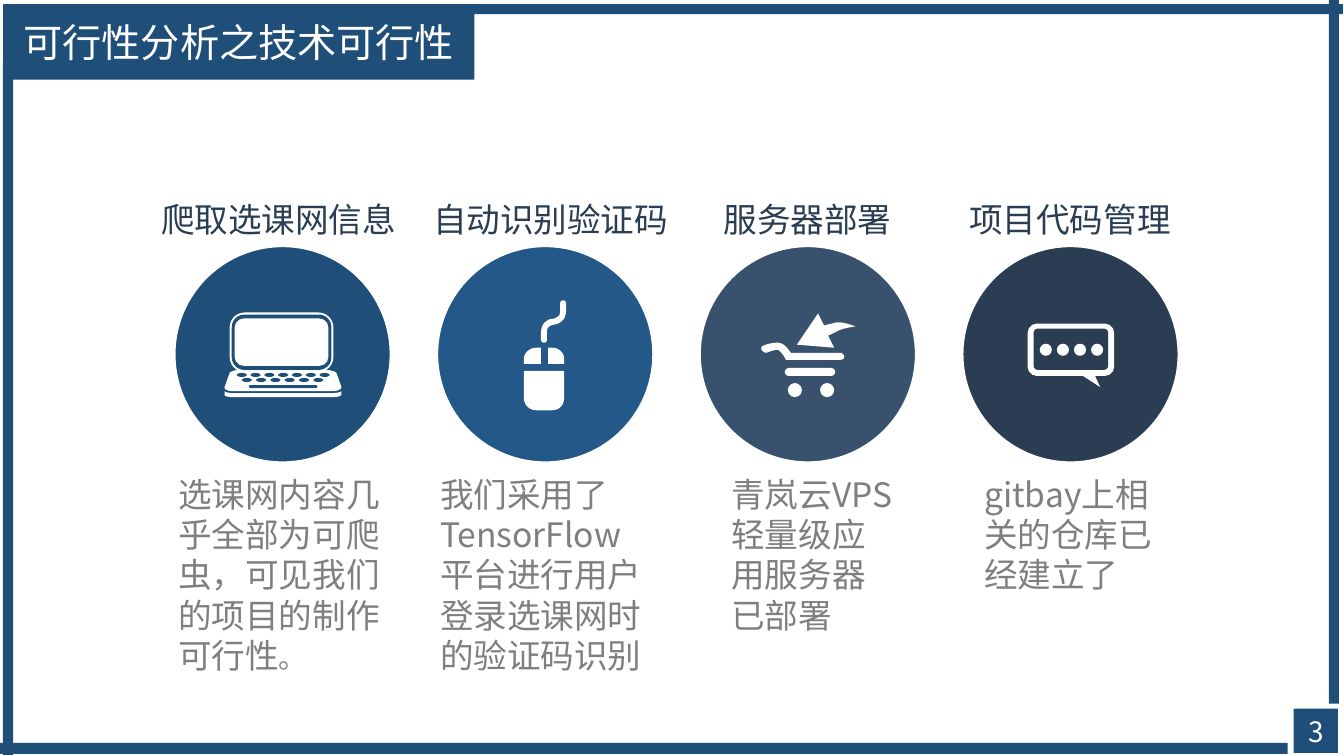
import pptx
import pptx.dml.color
import pptx.enum.shapes
import pptx.enum.text
import pptx.util

Inches = pptx.util.Inches
KIND = pptx.enum.shapes.MSO_SHAPE
ALIGN = pptx.enum.text.PP_ALIGN
THEME = {
    "font": "Noto Sans CJK SC",
    "frame": "1F4E79", "white": "FFFFFF", "label": "2A3D52", "body": "7F7F7F",
    "circles": ["1F4E79", "235889", "38526E", "2A3D52"],
    "title_pt": 28, "text_pt": 24, "small_pt": 20, "ring_pt": 3.25,
}
WHITE = THEME["white"]


def paint(sp, color, radius=None):
    sp.shadow.inherit = False
    sp.fill.solid()
    sp.fill.fore_color.rgb = pptx.dml.color.RGBColor.from_string(color)
    sp.line.fill.background()
    if radius is not None:
        sp.adjustments[0] = radius
    return sp


def write(tf, color, align, wrap, *runs):
    tf.word_wrap = wrap
    p = tf.paragraphs[0]
    p.alignment = align
    for text, size in runs:
        r = p.add_run()
        r.text = text
        for name, value in {"name": THEME["font"], "size": pptx.util.Pt(size)}.items():
            setattr(r.font, name, value)
        r.font.color.rgb = pptx.dml.color.RGBColor.from_string(color)


prs = pptx.Presentation()
prs.slide_width, prs.slide_height = Inches(13.34), Inches(7.5)
s = prs.slides.add_slide(prs.slide_layouts[6])

# Columns: label box, body box, body runs
text_pt, small_pt = THEME["text_pt"], THEME["small_pt"]
columns = [
    ("爬取选课网信息", (1.47, 2.59), (1.67, 2.27),
     [("选课网内容几乎全部为可爬虫，可见我们的项目的制作可行性", text_pt), ("。", small_pt)]),
    ("自动识别验证码", (4.17, 2.59), (4.27, 2.27),
     [("我们采用了TensorFlow平台进行用户登录选课网时的验证码识别", text_pt)]),
    ("服务器部署", (7.05, 1.93), (7.16, 1.85),
     [("青岚云VPS轻量级应用服务器已部署", text_pt)]),
    ("项目代码管理", (9.49, 2.26), (9.67, 1.97),
     [("gitbay上相关的仓库已经建立了", text_pt)]),
]

# Icon outlines: two numbers are a point, six are a cubic curve
keyboard = [(2.35, 3.67), (3.24, 3.67), (3.29, 3.67, 3.33, 3.69, 3.34, 3.7), (3.39, 3.84),
            (3.39, 3.86, 3.36, 3.88, 3.3, 3.88), (2.31, 3.88),
            (2.26, 3.88, 2.22, 3.86, 2.23, 3.84), (2.28, 3.7),
            (2.28, 3.69, 2.31, 3.68, 2.35, 3.67)]
base = [(2.23, 3.88), (2.23, 3.89, 2.27, 3.9, 2.31, 3.9), (3.3, 3.9),
        (3.35, 3.9, 3.38, 3.89, 3.39, 3.88), (3.39, 3.91),
        (3.39, 3.93, 3.36, 3.94, 3.3, 3.94), (2.31, 3.94),
        (2.26, 3.94, 2.22, 3.93, 2.23, 3.91)]
cable = [(5.56, 3.01), (5.56, 3.04, 5.56, 3.07, 5.56, 3.09), (5.56, 3.12, 5.55, 3.14, 5.52, 3.15),
         (5.5, 3.17, 5.47, 3.16, 5.45, 3.17), (5.36, 3.21, 5.37, 3.29, 5.37, 3.37),
         (5.37, 3.41, 5.43, 3.41, 5.43, 3.37), (5.43, 3.29), (5.43, 3.26, 5.44, 3.24, 5.47, 3.23),
         (5.49, 3.22, 5.52, 3.22, 5.54, 3.21), (5.63, 3.17, 5.62, 3.09, 5.62, 3.01),
         (5.62, 2.97, 5.56, 2.97, 5.56, 3.01)]
left_button = [(5.37, 3.45), (5.32, 3.45), (5.26, 3.45, 5.2, 3.5, 5.2, 3.56), (5.2, 3.61), (5.37, 3.61)]
right_button = [(5.44, 3.45), (5.48, 3.45), (5.55, 3.45, 5.6, 3.5, 5.6, 3.56), (5.6, 3.61), (5.44, 3.61)]
mouse_body = [(5.2, 3.68), (5.2, 3.95), (5.2, 4.02, 5.26, 4.07, 5.32, 4.07), (5.48, 4.07),
              (5.55, 4.07, 5.6, 4.02, 5.6, 3.95), (5.6, 3.68)]
cart_handle = [(7.58, 3.43), (7.56, 3.43, 7.55, 3.45, 7.56, 3.47), (7.57, 3.49, 7.59, 3.5, 7.61, 3.5),
               (7.63, 3.49, 7.69, 3.47, 7.72, 3.47), (7.73, 3.47, 7.77, 3.51, 7.79, 3.55),
               (7.8, 3.57), (8.34, 3.57), (8.36, 3.57, 8.38, 3.56, 8.38, 3.54),
               (8.38, 3.52, 8.36, 3.5, 8.34, 3.5), (7.85, 3.5), (7.82, 3.46, 7.78, 3.4, 7.72, 3.4),
               (7.66, 3.4, 7.59, 3.42, 7.58, 3.43)]
cart_arrow = [(8.3, 3.2), (8.26, 3.21, 8.21, 3.22, 8.18, 3.23), (8.12, 3.11), (7.91, 3.42), (8.28, 3.45),
              (8.22, 3.33), (8.27, 3.31, 8.33, 3.27, 8.38, 3.26), (8.47, 3.24, 8.49, 3.24, 8.49, 3.24),
              (8.49, 3.24, 8.38, 3.19, 8.3, 3.2)]
bubble_tail = [(10.75, 3.7), (10.75, 3.73), (10.92, 3.84), (10.87, 3.73), (10.87, 3.7)]
outlines = [[keyboard, base], [cable, left_button, right_button, mouse_body],
            [cart_handle, cart_arrow], [bubble_tail]]

# Icon parts made of preset shapes: kind, box, colour, corner radius
navy, dark = THEME["circles"][0], THEME["circles"][3]
OVAL, ROUND = KIND.OVAL, KIND.ROUNDED_RECTANGLE
keys = [(OVAL, (x0 + i * gap, y, 0.1, 0.04), navy, None)
        for x0, gap, y, count in [(2.35, 0.137, 3.7, 7), (2.4, 0.142, 3.75, 6)]
        for i in range(count)]
parts = [
    [(ROUND, (2.28, 3.1, 1.03, 0.59), WHITE, 0.25), (ROUND, (2.3, 3.12, 0.99, 0.55), navy, 0.23),
     (ROUND, (2.33, 3.16, 0.93, 0.47), WHITE, 0.19), *keys,
     (ROUND, (2.47, 3.82, 0.68, 0.03), navy, 0.5)],
    [],
    [(ROUND, (7.79, 3.65, 0.5, 0.08), WHITE, 0.5)]
    + [(OVAL, (x, 3.8, 0.14, 0.14), WHITE, None) for x in (7.82, 8.14)],
    [(ROUND, (10.2, 3.21, 0.86, 0.52), WHITE, 0.18), (ROUND, (10.26, 3.26, 0.74, 0.41), dark, 0.1)]
    + [(OVAL, (10.32 + i * 0.17, 3.41, 0.12, 0.12), WHITE, None) for i in range(4)],
]

# Circles with icons
for i, color in enumerate(THEME["circles"]):
    box = (1.72 + i * 2.607, 2.43, 2.17, 2.17)
    sp = paint(s.shapes.add_shape(OVAL, *map(Inches, box)), color)
    sp.line.color.rgb = pptx.dml.color.RGBColor.from_string(WHITE)
    sp.line.width = pptx.util.Pt(THEME["ring_pt"])

    for outline in outlines[i]:
        points = []
        for step in outline:
            if len(step) == 2:
                points.append(step)
                continue
            curve = [points[-1], step[:2], step[2:4], step[4:]]
            for t in (n / 8 for n in range(1, 9)):
                weights = ((1 - t) ** 3, 3 * t * (1 - t) ** 2, 3 * t * t * (1 - t), t ** 3)
                points.append(tuple(sum(w * c[k] for w, c in zip(weights, curve)) for k in (0, 1)))
        start, *rest = [(Inches(x), Inches(y)) for x, y in points]
        fb = s.shapes.build_freeform(*start)
        fb.add_line_segments(rest, close=True)
        paint(fb.convert_to_shape(), WHITE)

    for kind, box, fill, radius in parts[i]:
        paint(s.shapes.add_shape(kind, *map(Inches, box)), fill, radius)

# Labels above and descriptions below
for label, (label_x, label_w), (body_x, body_w), runs in columns:
    sp = s.shapes.add_textbox(Inches(label_x), Inches(1.92), Inches(label_w), Inches(0.5))
    write(sp.text_frame, THEME["label"], ALIGN.CENTER, False, (label, text_pt))
    sp = s.shapes.add_textbox(Inches(body_x), Inches(4.65), Inches(body_w), Inches(2.1))
    write(sp.text_frame, THEME["body"], ALIGN.LEFT, True, *runs)

# Frame: top, bottom, right and left bars, page number square
for box in [(0.77, 0.04, 12.56, 0.1), (0, 7.37, 12.78, 0.11), (13.19, 0, 0.1, 6.98),
            (0.03, 0.6, 0.1, 6.89), (12.84, 7.03, 0.44, 0.44)]:
    paint(s.shapes.add_shape(KIND.RECTANGLE, *map(Inches, box)), THEME["frame"])

# Title and page number
sp = paint(s.shapes.add_shape(KIND.RECTANGLE, *map(Inches, (0.03, 0.04, 4.68, 0.75))), THEME["frame"])
sp.text_frame.vertical_anchor = pptx.enum.text.MSO_ANCHOR.MIDDLE
write(sp.text_frame, WHITE, ALIGN.CENTER, True, ("可行性分析之技术可行性", THEME["title_pt"]))
sp = s.shapes.add_textbox(*map(Inches, (12.3, 7.04, 1.54, 0.51)))
write(sp.text_frame, WHITE, ALIGN.CENTER, False, ("3", small_pt))

prs.save("out.pptx")
